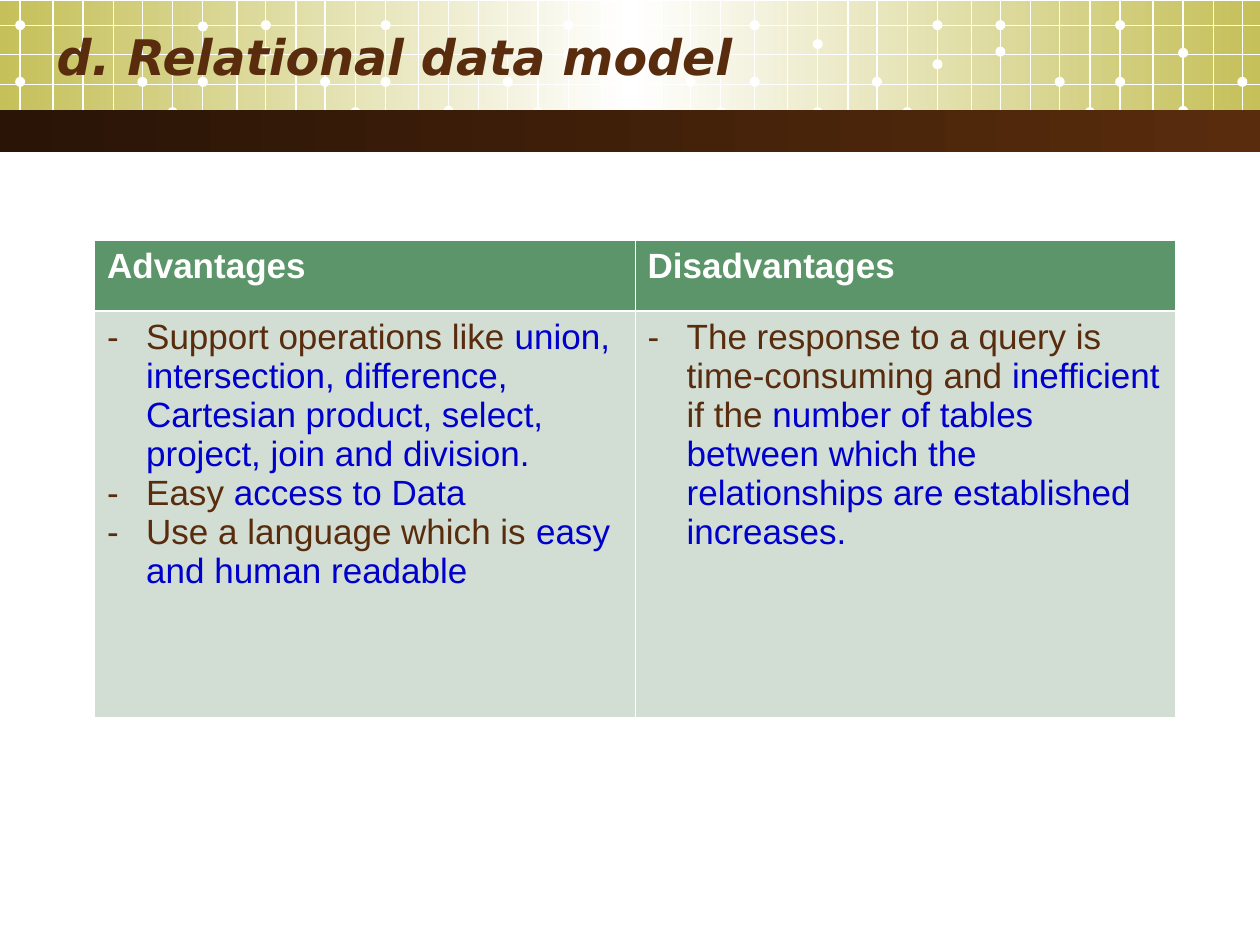
import pptx
import pptx.dml.color
import pptx.enum.shapes
import pptx.enum.text
import pptx.oxml.ns
import pptx.util
from lxml import etree

RGB = pptx.dml.color.RGBColor
WHITE = RGB(0xFF, 0xFF, 0xFF)
OLIVE = RGB(0xC5, 0xC0, 0x59)
DARK_BROWN = RGB(0x29, 0x14, 0x06)
BROWN = RGB(0x59, 0x2C, 0x0D)
GREEN = RGB(0x5B, 0x95, 0x69)
PALE_GREEN = RGB(0xD2, 0xDD, 0xD4)
BLUE = RGB(0x00, 0x00, 0xCC)

COLUMNS = 100
RECT = pptx.enum.shapes.MSO_SHAPE.RECTANGLE
OVAL = pptx.enum.shapes.MSO_SHAPE.OVAL

TITLE_FONT = {"name": "DejaVu Sans", "size": pptx.util.Pt(28), "bold": True, "italic": True}
HEADING_FONT = {"name": "Arial", "size": pptx.util.Pt(20), "bold": True}
POINT_FONT = {**HEADING_FONT, "bold": False}

MESH_STARTS = [1.6, 30.6, 59.9, 88.9]
MESH_OFFSETS = [0, 2.6, 5, 7.4, 9.7, 12.1, 14.5, 17.2, 19.5, 21.9, 24.2, 26.6]
MESH_ROWS = [2, 4.3, 6.7]
SHARED_DOTS = [(0, 6.5), (0, 2), (4, 6.5), (5, 8.9), (8, 4.1), (8, 2), (10, 6.5), (11, 8.9)]
TILE_DOTS = [
    [(2, 4.1), (2, 9.1), (6, 6.5), (6, 2.1)],
    [(2, 4.1), (2, 8.8), (6, 4.3), (6, 2)],
    [(2, 3.5), (2, 8.9), (6, 5.1), (6, 2)],
    [(2, 4.2), (2, 8.8)],
]
DOT_SIZE = 0.8

ADVANTAGES = [
    [("Support operations like ", BROWN),
     ("union, intersection, difference, Cartesian product, select, project, join and division.", BLUE)],
    [("Easy ", BROWN), ("access to Data", BLUE)],
    [("Use a language which is ", BROWN), ("easy and human readable", BLUE)],
]
DISADVANTAGES = [
    [("The response to a query is time-consuming and ", BROWN),
     ("inefficient", BLUE),
     (" if the ", BROWN),
     ("number of tables between which the relationships are established increases.", BLUE)],
]


class SlideBuilder:
    def __init__(self, deck):
        self.cell = deck.slide_width / COLUMNS
        self.slide = deck.slides.add_slide(deck.slide_layouts[5])
        self.shapes = self.slide.shapes

    def grid(self, *lengths):
        return [round(length * self.cell) for length in lengths]

    def shape(self, kind, box):
        shape = self.shapes.add_shape(kind, *self.grid(*box))
        shape.shadow.inherit = False
        shape.line.fill.background()
        return shape

    def gradient_band(self, box, colors):
        band = self.shape(RECT, box)
        band.fill.gradient()
        band.fill.gradient_angle = 0
        stops = band.element.find(".//" + pptx.oxml.ns.qn("a:gsLst"))
        for stop in list(stops):
            stops.remove(stop)
        for index, color in enumerate(colors):
            position = 100000 * index // (len(colors) - 1)
            stop = etree.SubElement(stops, pptx.oxml.ns.qn("a:gs"), pos=str(position))
            etree.SubElement(stop, pptx.oxml.ns.qn("a:srgbClr"), val=str(color))

    def dot(self, x, y):
        dot = self.shape(OVAL, (x - DOT_SIZE / 2, y - DOT_SIZE / 2, DOT_SIZE, DOT_SIZE))
        dot.fill.solid()
        dot.fill.fore_color.rgb = WHITE

    def line(self, *ends):
        line = self.shapes.add_connector(pptx.enum.shapes.MSO_CONNECTOR.STRAIGHT, *self.grid(*ends))
        line.line.color.rgb = WHITE
        line.line.width = pptx.util.Pt(0.75)
        etree.SubElement(line.element.spPr, pptx.oxml.ns.qn("a:effectLst"))

    def run(self, paragraph, text, color, style):
        run = paragraph.add_run()
        run.text = text
        for attribute, value in style.items():
            setattr(run.font, attribute, value)
        run.font.color.rgb = color

    def title(self, text, box):
        title = self.shapes.title
        for side, length in zip(("left", "top", "width", "height"), self.grid(*box)):
            setattr(title, side, length)
        frame = title.text_frame
        layout = {"word_wrap": True, "auto_size": pptx.enum.text.MSO_AUTO_SIZE.NONE,
                  "vertical_anchor": pptx.enum.text.MSO_ANCHOR.MIDDLE}
        for attribute, value in layout.items():
            setattr(frame, attribute, value)
        frame.paragraphs[0].alignment = pptx.enum.text.PP_ALIGN.LEFT
        self.run(frame.paragraphs[0], text, BROWN, TITLE_FONT)
        title.element.getparent().append(title.element)

    def borders(self, cell, widths):
        properties = cell._tc.get_or_add_tcPr()
        for index, (side, width) in enumerate(widths.items()):
            border = etree.Element(pptx.oxml.ns.qn("a:ln" + side), w=str(pptx.util.Pt(width)))
            fill = etree.SubElement(border, pptx.oxml.ns.qn("a:solidFill"))
            etree.SubElement(fill, pptx.oxml.ns.qn("a:srgbClr"), val=str(WHITE))
            properties.insert(index, border)

    def dash(self, paragraph):
        properties = paragraph._p.get_or_add_pPr()
        indent = self.grid(3.1)[0]
        properties.set("marL", str(indent))
        properties.set("indent", str(-indent))
        color = etree.SubElement(properties, pptx.oxml.ns.qn("a:buClr"))
        etree.SubElement(color, pptx.oxml.ns.qn("a:srgbClr"), val=str(BROWN))
        etree.SubElement(properties, pptx.oxml.ns.qn("a:buFont"), typeface="Arial")
        etree.SubElement(properties, pptx.oxml.ns.qn("a:buChar"), char="-")

    def comparison(self, box, row_heights, sides):
        table = self.shapes.add_table(2, len(sides), *self.grid(*box)).table
        table.horz_banding = False
        for row, height in zip(table.rows, self.grid(*row_heights)):
            row.height = height
        for column, (heading, points) in enumerate(sides):
            head, body = table.cell(0, column), table.cell(1, column)
            for cell, color, top, bottom in ((head, GREEN, 0.45, 1.47), (body, PALE_GREEN, 1.47, 0.45)):
                cell.fill.solid()
                cell.fill.fore_color.rgb = color
                self.borders(cell, {"L": 0.45, "R": 0.45, "T": top, "B": bottom})
            self.run(head.text_frame.paragraphs[0], heading, WHITE, HEADING_FONT)
            frame = body.text_frame
            for index, point in enumerate(points):
                paragraph = frame.add_paragraph() if index else frame.paragraphs[0]
                self.dash(paragraph)
                for text, color in point:
                    self.run(paragraph, text, color, POINT_FONT)

    def mesh(self):
        for start, own_dots in zip(MESH_STARTS, TILE_DOTS):
            xs = [start + offset for offset in MESH_OFFSETS if start + offset < COLUMNS - 1]
            for x in xs:
                self.line(x, 0, x, 11)
            for index, y in SHARED_DOTS + own_dots:
                if index < len(xs):
                    self.dot(xs[index], y)
        for y in MESH_ROWS:
            self.line(0, y, COLUMNS, y)


def main():
    deck = pptx.Presentation()
    deck.slide_width, deck.slide_height = pptx.util.Inches(10), pptx.util.Inches(7.5)
    builder = SlideBuilder(deck)
    builder.gradient_band((0, 0.1, COLUMNS, 10.2), [OLIVE, WHITE, OLIVE])
    builder.mesh()
    builder.gradient_band((0, 8.75, COLUMNS, 3.3), [DARK_BROWN, BROWN])
    builder.title("d. Relational data model", (3.5, 0.5, 91.4, 7.9))
    builder.comparison((7.5, 19.1, 85.8, 37.8), (5.6, 32.2),
                       [("Advantages", ADVANTAGES), ("Disadvantages", DISADVANTAGES)])
    deck.save("out.pptx")


if __name__ == "__main__":
    main()
